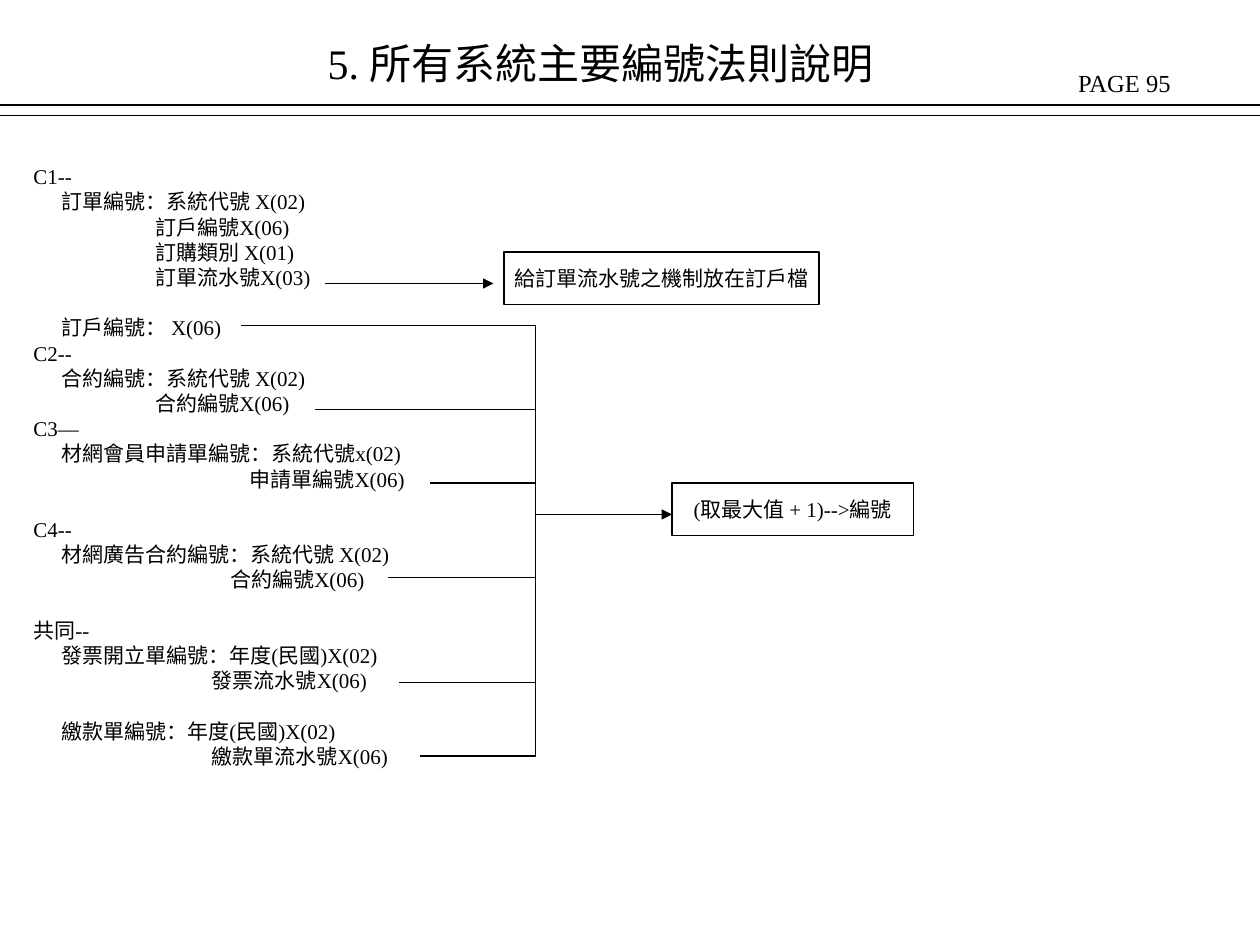
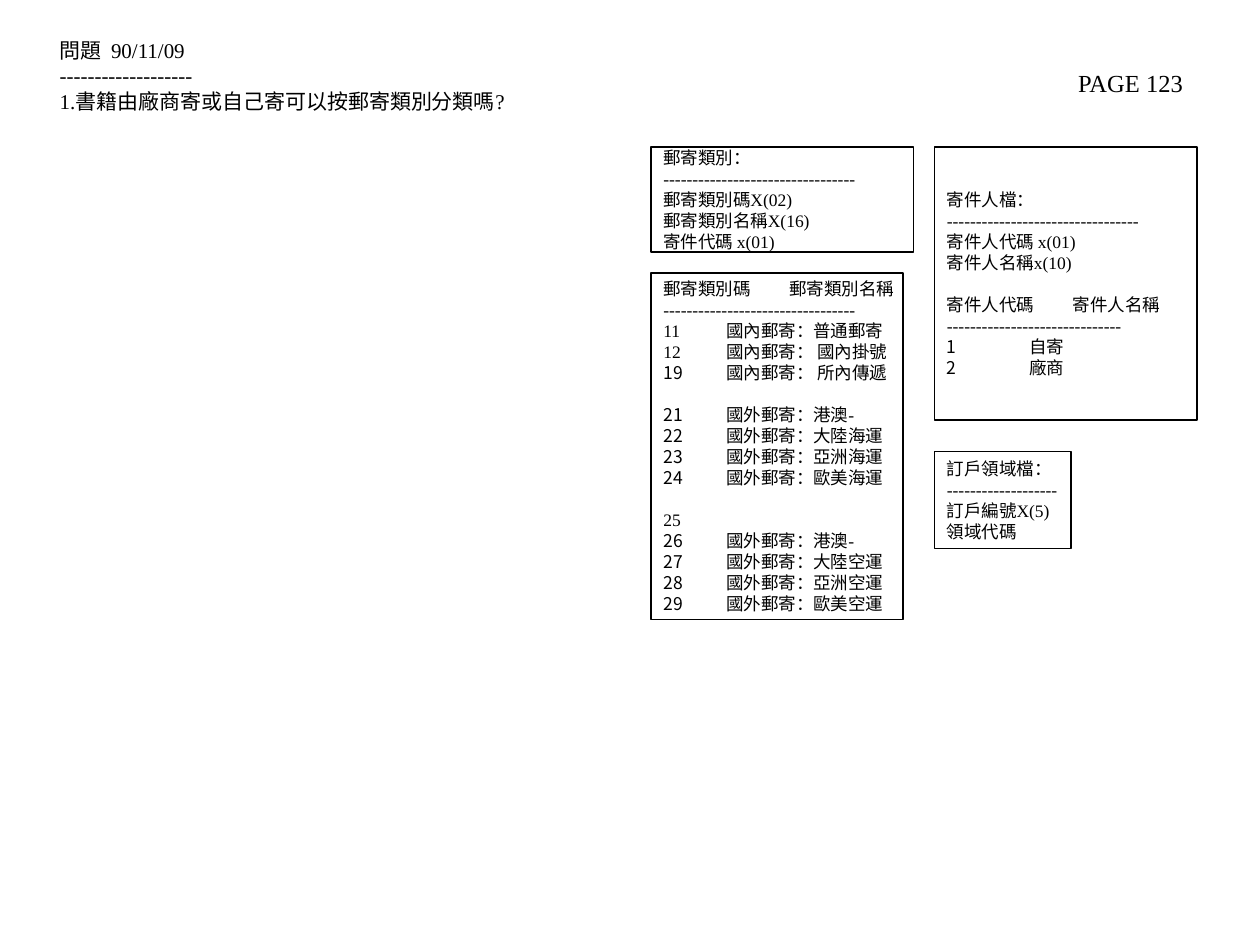
from dataclasses import dataclass
from typing import Optional

from lxml import etree
from pptx import Presentation
from pptx import util as u
from pptx.dml.color import RGBColor
from pptx.enum import shapes, text
from pptx.oxml import ns

FONT = "Times New Roman"
BLACK = "000000"
RULE_WIDTH = 0.75
BODY_SIZE, BODY_PITCH = 12, 14.4
BOX_SIZE, BOX_PITCH = 10, 12
TITLE_LAYOUT, BLANK_LAYOUT = 5, 6


@dataclass(frozen=True)
class Line:
    """One line of text; number starts an automatic list, gap skips a row."""
    text: str
    indent: float = 0
    gap: bool = False
    number: Optional[int] = None
    tab: float = 0


@dataclass(frozen=True)
class Box:
    left: float
    top: float
    width: float
    height: float
    lines: tuple[Line, ...]
    size: float = BOX_SIZE
    pitch: float = BOX_PITCH
    centred: bool = False


@dataclass(frozen=True)
class Rule:
    x1: float
    y1: float
    x2: float
    y2: float
    arrow: bool = False


# Helpers

def colour(value: str) -> RGBColor:
    return RGBColor.from_string(value)


def add_run(paragraph, content: str, size: float) -> None:
    run = paragraph.add_run()
    run.text = content
    run.font.name = FONT
    run.font.size = u.Pt(size)
    run.font.color.rgb = colour(BLACK)


def format_line(paragraph, line: Line) -> None:
    properties = paragraph._p.get_or_add_pPr()
    properties.set("marL", str(u.Pt(line.indent)))
    properties.set("indent", str(-u.Pt(line.indent) if line.number else 0))
    if line.number:
        etree.SubElement(properties, ns.qn("a:buAutoNum"),
                         type="arabicPlain", startAt=str(line.number))
    if line.tab:
        stops = etree.SubElement(properties, ns.qn("a:tabLst"))
        etree.SubElement(stops, ns.qn("a:tab"), pos=str(u.Pt(line.tab)), algn="l")


def fill_frame(frame, lines: tuple[Line, ...], size: float, pitch: float,
               centred: bool = False) -> None:
    for index, line in enumerate(lines):
        paragraph = frame.paragraphs[0] if index == 0 else frame.add_paragraph()
        format_line(paragraph, line)
        paragraph.alignment = text.PP_ALIGN.CENTER if centred else text.PP_ALIGN.LEFT
        paragraph.line_spacing = u.Pt(pitch)
        if line.gap:
            paragraph.space_before = u.Pt(pitch)
        add_run(paragraph, line.text, size)


def add_text(slide, box: Box, wrap: bool = True) -> None:
    shape = slide.shapes.add_textbox(
        *map(u.Pt, (box.left, box.top, box.width, box.height)))
    shape.text_frame.word_wrap = wrap
    fill_frame(shape.text_frame, box.lines, box.size, box.pitch)


def add_box(slide, box: Box) -> None:
    shape = slide.shapes.add_shape(
        shapes.MSO_SHAPE.RECTANGLE,
        *map(u.Pt, (box.left, box.top, box.width, box.height)))
    shape.shadow.inherit = False
    shape.fill.background()
    shape.line.color.rgb = colour(BLACK)
    shape.line.width = u.Pt(RULE_WIDTH)
    frame = shape.text_frame
    frame.word_wrap = False
    frame.vertical_anchor = text.MSO_ANCHOR.MIDDLE
    fill_frame(frame, box.lines, box.size, box.pitch, box.centred)


def add_rule(slide, rule: Rule) -> None:
    connector = slide.shapes.add_connector(
        shapes.MSO_CONNECTOR.STRAIGHT,
        *map(u.Pt, (rule.x1, rule.y1, rule.x2, rule.y2)))
    connector.line.color.rgb = colour(BLACK)
    connector.line.width = u.Pt(RULE_WIDTH)
    if rule.arrow:
        etree.SubElement(connector.line._get_or_add_ln(), ns.qn("a:tailEnd"),
                         type="triangle")
    etree.SubElement(connector._element.spPr, ns.qn("a:effectLst"))


def add_title(slide, content: str) -> None:
    title = slide.shapes.title
    title.left, title.top, title.width, title.height = map(u.Pt, (180, 18, 378, 36))
    frame = title.text_frame
    frame.word_wrap = True
    frame.auto_size = text.MSO_AUTO_SIZE.NONE
    frame.vertical_anchor = text.MSO_ANCHOR.TOP
    frame.paragraphs[0].alignment = text.PP_ALIGN.LEFT
    add_run(frame.paragraphs[0], content, 24)


def new_slide(presentation, layout: int, page: int):
    slide = presentation.slides.add_slide(presentation.slide_layouts[layout])
    add_text(slide, Box(609, 36, 111, 24.5, (Line(f"PAGE {page}"),), 14, 16))
    return slide


# Numbering rules of all systems

ITEM, FIELD = 16, 69.7
NUMBERING_LINES = (
    Line("C1--"),
    Line("訂單編號：系統代號 X(02)", ITEM),
    Line("訂戶編號X(06)", FIELD),
    Line("訂購類別 X(01)", FIELD),
    Line("訂單流水號X(03)", FIELD),
    Line("訂戶編號： X(06)", ITEM, gap=True),
    Line("C2--"),
    Line("合約編號：系統代號 X(02)", ITEM),
    Line("合約編號X(06)", FIELD),
    Line("C3—"),
    Line("材網會員申請單編號：系統代號x(02)", ITEM),
    Line("申請單編號X(06)", 123.5),
    Line("C4--", gap=True),
    Line("材網廣告合約編號：系統代號 X(02)", ITEM),
    Line("合約編號X(06)", 112.5),
    Line("共同--", gap=True),
    Line("發票開立單編號：年度(民國)X(02)", ITEM),
    Line("發票流水號X(06)", 102),
    Line("繳款單編號：年度(民國)X(02)", ITEM, gap=True),
    Line("繳款單流水號X(06)", 102),
)
NOTES = (
    Box(384, 276, 138, 30, (Line("(取最大值 + 1)-->編號"),),
        BODY_SIZE, BODY_PITCH, centred=True),
    Box(288, 144, 180, 30, (Line("給訂單流水號之機制放在訂戶檔"),),
        BODY_SIZE, BODY_PITCH, centred=True),
)
SPINE_X = 306
BRANCHES = ((138, 186), (180, 234), (246, 276), (222, 330), (228, 390), (240, 432))


def build_numbering(presentation) -> None:
    slide = new_slide(presentation, TITLE_LAYOUT, 95)
    add_title(slide, "5. 所有系統主要編號法則說明")
    add_text(slide, Box(12, 90, 276, 396, NUMBERING_LINES, BODY_SIZE, BODY_PITCH))
    for note in NOTES:
        add_box(slide, note)
    header_rules = [Rule(0, y, 720, y) for y in (60, 66)]
    branches = [Rule(x, y, SPINE_X, y) for x, y in BRANCHES]
    spine = Rule(SPINE_X, BRANCHES[0][1], SPINE_X, BRANCHES[-1][1])
    arrows = [Rule(186, 162, 282, 162, True), Rule(SPINE_X, 294, 384, 294, True)]
    for rule in (*header_rules, *branches, spine, *arrows):
        add_rule(slide, rule)


# Mailing categories

NAME_X, SENDER_X = 36, 47
LONG_DASHES = Line("-" * 33)


def numbered(start: int, names: tuple[str, ...], indent: float,
             gap: bool = False) -> tuple[Line, ...]:
    return tuple(Line(name, indent, gap and index == 0, start)
                 for index, name in enumerate(names))


MAILING_BOXES = (
    Box(372, 84, 150, 60, (
        Line("郵寄類別："),
        LONG_DASHES,
        Line("郵寄類別碼X(02)"),
        Line("郵寄類別名稱X(16)"),
        Line("寄件代碼 x(01)"),
    )),
    Box(372, 156, 144, 198, (
        Line("郵寄類別碼\t郵寄類別名稱", tab=65),
        LONG_DASHES,
        Line("11\t國內郵寄：普通郵寄", tab=NAME_X),
        Line("12\t國內郵寄： 國內掛號", tab=NAME_X),
        *numbered(19, ("國內郵寄： 所內傳遞",), NAME_X),
        *numbered(21, ("國外郵寄：港澳-", "國外郵寄：大陸海運",
                       "國外郵寄：亞洲海運", "國外郵寄：歐美海運"), NAME_X, gap=True),
        Line("25", gap=True),
        *numbered(26, ("國外郵寄：港澳-", "國外郵寄：大陸空運",
                       "國外郵寄：亞洲空運", "國外郵寄：歐美空運"), NAME_X),
    )),
    Box(534, 84, 150, 156, (
        Line("寄件人檔："),
        LONG_DASHES,
        Line("寄件人代碼 x(01)"),
        Line("寄件人名稱x(10)"),
        Line("寄件人代碼\t寄件人名稱", gap=True, tab=58.5),
        Line("-" * 30),
        *numbered(1, ("自寄", "廠商"), SENDER_X),
    )),
    Box(534, 258, 78, 55.5, (
        Line("訂戶領域檔："),
        Line("-" * 19),
        Line("訂戶編號X(5)"),
        Line("領域代碼"),
    )),
)
QUESTION = Box(27, 18, 274.5, 50.5, (
    Line("問題  90/11/09"),
    Line("-" * 19),
    Line("1.書籍由廠商寄或自己寄可以按郵寄類別分類嗎?"),
), BODY_SIZE, BODY_PITCH)


def build_mailing(presentation) -> None:
    slide = new_slide(presentation, BLANK_LAYOUT, 123)
    for box in MAILING_BOXES:
        add_box(slide, box)
    add_text(slide, QUESTION, wrap=False)


def main() -> None:
    presentation = Presentation()
    presentation.slide_width = u.Pt(720)
    presentation.slide_height = u.Pt(540)
    build_numbering(presentation)
    build_mailing(presentation)
    presentation.save("out.pptx")


if __name__ == "__main__":
    main()
